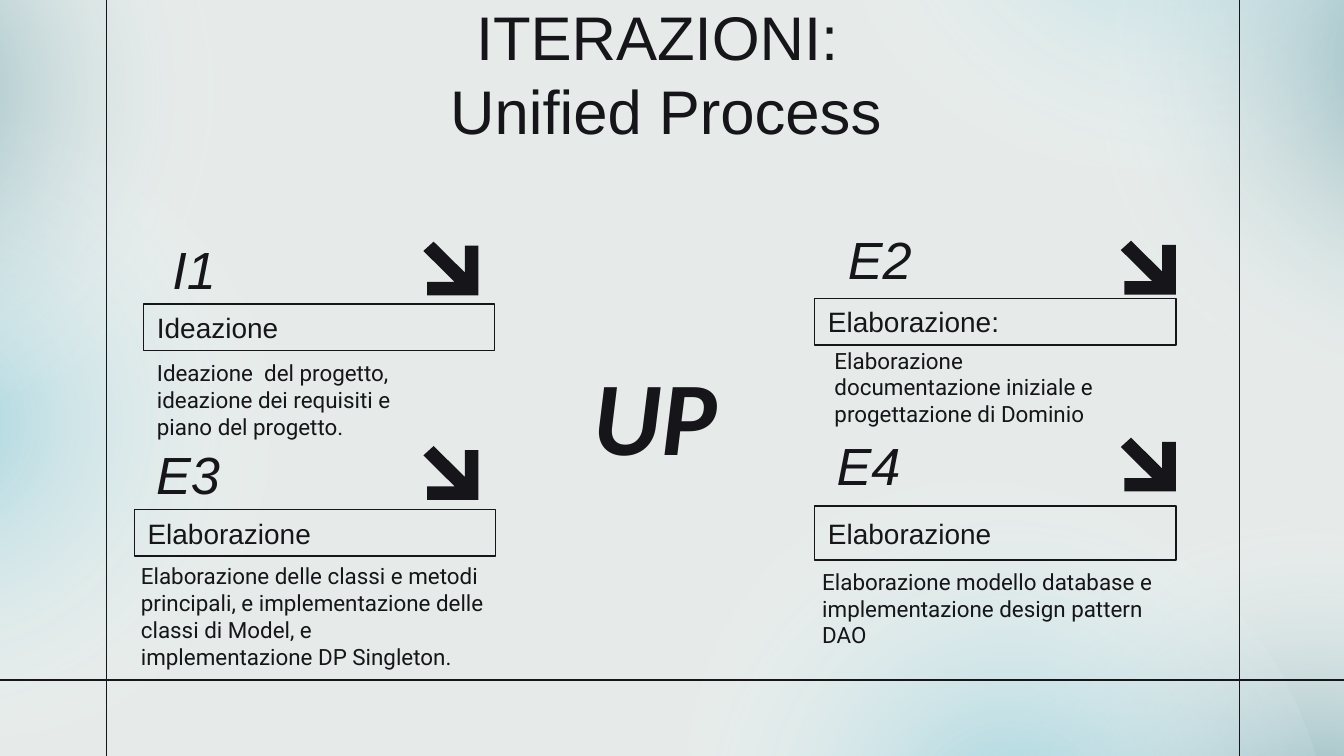
from pptx import Presentation
from pptx.enum.shapes import MSO_CONNECTOR, MSO_SHAPE
from pptx.enum.text import MSO_ANCHOR, PP_ALIGN
from pptx.dml.color import RGBColor
from pptx.oxml import parse_xml
from pptx.oxml.ns import nsdecls, qn
from pptx.util import Pt

WIDTH, HEIGHT = 720, 405
INK, PAPER, AQUA, TEAL = "161519", "E6EBE9", "80C8D8", "4E909E"
ARROW = [(5.5, 0), (0, 5), (16.8, 21.6), (2, 21.6), (2, 28.8),
         (29.5, 28.8), (29.5, 2.2), (22.2, 2.2), (22.2, 16.5)]


def color(hex_code):
    return RGBColor.from_string(hex_code)


def write(shape, text, size=12, font="Arial", bold=False, italic=False,
          align=PP_ALIGN.LEFT):
    frame = shape.text_frame
    frame.word_wrap = True
    frame.vertical_anchor = MSO_ANCHOR.MIDDLE
    frame.margin_left = frame.margin_right = Pt(7.2)
    frame.margin_top = frame.margin_bottom = Pt(7.2)
    frame.text = text
    for paragraph in frame.paragraphs:
        paragraph.alignment = align
        for run in paragraph.runs:
            run.font.size = Pt(size)
            run.font.name = font
            run.font.bold = bold
            run.font.italic = italic
            run.font.color.rgb = color(INK)


class SlideBuilder:
    def __init__(self, slide, ink=INK, paper=PAPER, line_width=0.75):
        self.slide = slide
        self.ink = color(ink)
        self.line_width = Pt(line_width)
        slide.background.fill.solid()
        slide.background.fill.fore_color.rgb = color(paper)

    def glow(self, left, top, rotation, tint, opacity):
        """Ellipse that fades out from its centre."""
        ellipse = self.slide.shapes.add_shape(
            MSO_SHAPE.OVAL, Pt(left), Pt(top), Pt(376), Pt(331))
        ellipse.rotation = rotation
        ellipse.shadow.inherit = False
        ellipse.line.fill.background()
        ellipse.fill.background()
        stops = "".join(
            f'<a:gs pos="{pos * 1000}"><a:srgbClr val="{hex_code}">'
            f'<a:alpha val="{alpha * 1000}"/></a:srgbClr></a:gs>'
            for pos, hex_code, alpha in
            [(0, tint, opacity), (58, "FFFFFF", 0), (100, "FFFFFF", 0)])
        gradient = parse_xml(
            f'<a:gradFill {nsdecls("a")} rotWithShape="1"><a:gsLst>{stops}</a:gsLst>'
            '<a:path path="circle"><a:fillToRect l="50000" t="50000" '
            'r="50000" b="50000"/></a:path></a:gradFill>')
        properties = ellipse.element.spPr
        properties.replace(properties.find(qn("a:noFill")), gradient)

    def line(self, x1, y1, x2, y2):
        rule = self.slide.shapes.add_connector(
            MSO_CONNECTOR.STRAIGHT, Pt(x1), Pt(y1), Pt(x2), Pt(y2))
        rule.line.color.rgb = self.ink
        rule.line.width = self.line_width
        rule.element.spPr.append(parse_xml(f'<a:effectLst {nsdecls("a")}/>'))

    def text(self, bounds, text, **style):
        write(self.slide.shapes.add_textbox(*map(Pt, bounds)), text, **style)

    def box(self, bounds, text, **style):
        frame = self.slide.shapes.add_shape(MSO_SHAPE.RECTANGLE, *map(Pt, bounds))
        frame.shadow.inherit = False
        frame.fill.background()
        frame.line.color.rgb = self.ink
        frame.line.width = self.line_width
        write(frame, text, **style)

    def arrow(self, left, top):
        points = [(Pt(left + x), Pt(top + y)) for x, y in ARROW]
        outline = self.slide.shapes.build_freeform(*points[0], scale=1.0)
        outline.add_line_segments(points[1:], close=True)
        arrow = outline.convert_to_shape()
        arrow.shadow.inherit = False
        arrow.fill.solid()
        arrow.fill.fore_color.rgb = self.ink
        arrow.line.fill.background()

    def iteration(self, code, code_at, phase, phase_at, summary, summary_at, arrow_at):
        self.text(code_at, code, size=28, italic=True, align=PP_ALIGN.CENTER)
        self.box(phase_at, phase, size=15)
        self.text(summary_at, summary, font="Roboto")
        self.arrow(*arrow_at)


def main():
    presentation = Presentation()
    presentation.slide_width, presentation.slide_height = Pt(WIDTH), Pt(HEIGHT)
    builder = SlideBuilder(presentation.slides.add_slide(presentation.slide_layouts[6]))

    # Soft glows in the corners
    for glow in [(517, 298, 237.1, TEAL, 81), (352, 274, 237.1, AQUA, 68),
                 (-222, 60.5, 202, AQUA, 68), (-250.5, -117.5, 202, TEAL, 68),
                 (441.5, -247.5, 149, AQUA, 68), (584, -132, 149, TEAL, 68)]:
        builder.glow(*glow)

    # Frame lines
    for x in (57, 664):
        builder.line(x, 0, x, HEIGHT)
    builder.line(0, 364.3, WIDTH, 364.3)

    # Title and centre
    builder.text((93.6, 12.2, 526.3, 54), "ITERAZIONI: \nUnified Process",
                 size=33, align=PP_ALIGN.CENTER)
    builder.text((284.5, 162.7, 133.2, 118), "UP", size=56, font="Calibri",
                 bold=True, italic=True, align=PP_ALIGN.CENTER)

    # Iterations
    left_arrow, right_arrow = 226.8, 600.4
    builder.iteration(
        "I1", (70.5, 124.6, 67, 38.2), "Ideazione", (77, 162.8, 188, 25),
        "Ideazione  del progetto, ideazione dei requisiti e piano del progetto.",
        (77, 193, 168, 41.8), (left_arrow, 129.5))
    builder.iteration(
        "E2", (440, 119.5, 62.6, 38.2), "Elaborazione:", (436.5, 159.8, 193.6, 25),
        "Elaborazione documentazione iniziale e progettazione di Dominio",
        (440, 191.5, 163.4, 31.7), (right_arrow, 129))
    builder.iteration(
        "E3", (72, 234.7, 57.6, 38.2), "Elaborazione", (72, 273, 193.6, 25),
        "Elaborazione delle classi e metodi principali, e implementazione delle "
        "classi di Model, e implementazione DP Singleton.",
        (68.4, 303.1, 200.2, 54), (left_arrow, 239))
    builder.iteration(
        "E4", (436.5, 229.7, 57.6, 38.2), "Elaborazione", (436.5, 271, 193.6, 29),
        "Elaborazione modello database e implementazione design pattern DAO",
        (433.4, 298.8, 200.2, 54), (right_arrow, 234.5))

    presentation.save("out.pptx")


if __name__ == "__main__":
    main()
